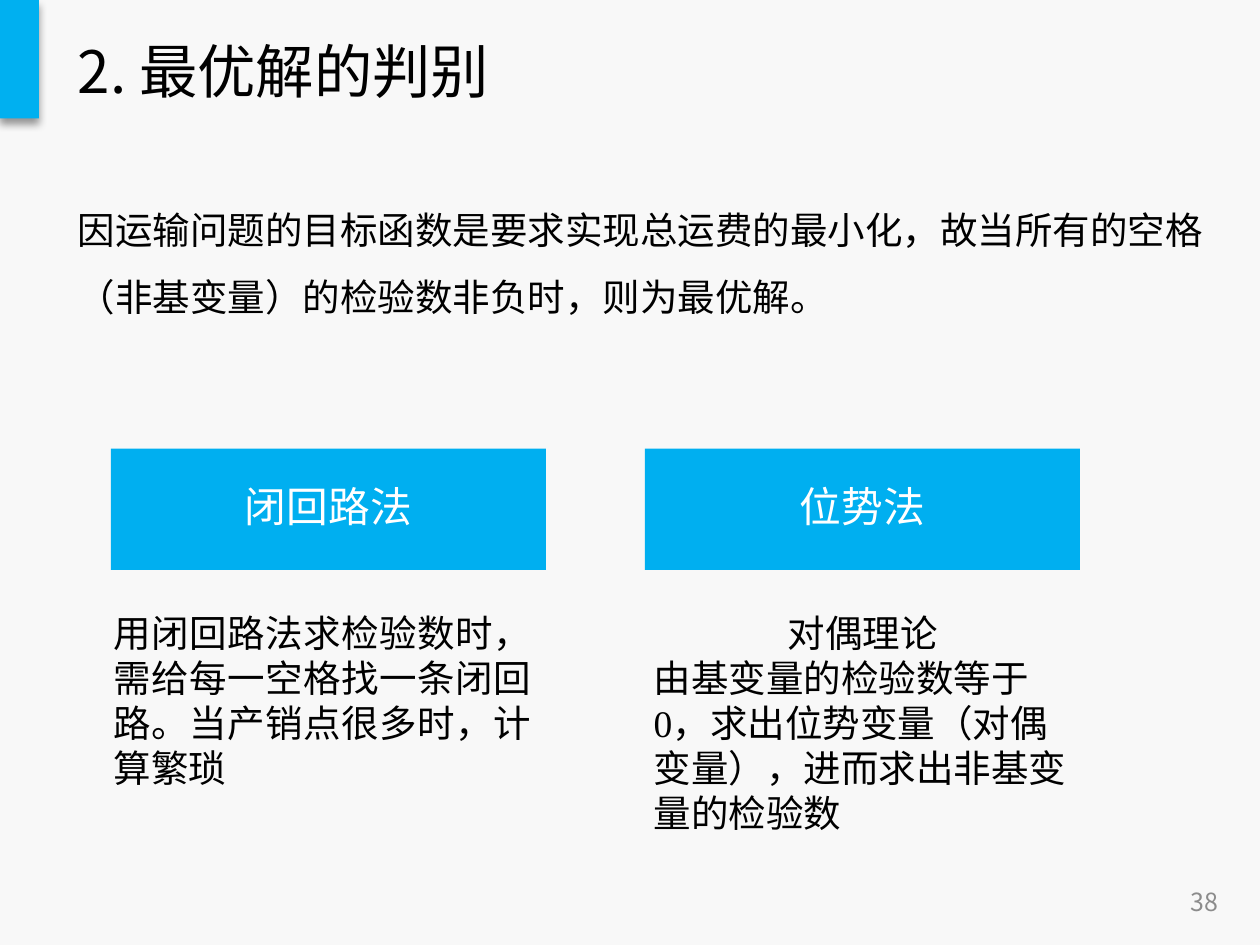
from lxml.etree import SubElement
from pptx import Presentation
from pptx.dml.color import RGBColor
from pptx.enum.shapes import MSO_SHAPE
from pptx.enum.text import MSO_ANCHOR, PP_ALIGN
from pptx.oxml import parse_xml
from pptx.oxml.ns import nsdecls, qn
from pptx.util import Inches, Pt

COLORS = {"background": "F8F8F8", "accent": "00B0F0", "method": "00AFF0",
          "text": "000000", "label": "FFFFFF", "number": "8C8C8C"}
SANS, SERIF = "Noto Sans CJK SC", "Times New Roman"
TITLE = "2. 最优解的判别"
STATEMENT = "因运输问题的目标函数是要求实现总运费的最小化，故当所有的空格（非基变量）的检验数非负时，则为最优解。"
PAGE_NUMBER = "38"
METHODS = [
    {"name": "闭回路法", "font": SANS, "left": 0.74, "note_left": 0.66, "note_height": 1.31,
     "notes": [("用闭回路法求检验数时，需给每一空格找一条闭回路。当产销点很多时，计算繁琐", PP_ALIGN.JUSTIFY)]},
    {"name": "位势法", "font": SERIF, "left": 4.3, "note_left": 4.26, "note_height": 1.62,
     "notes": [("对偶理论", PP_ALIGN.CENTER),
               ("由基变量的检验数等于0，求出位势变量（对偶变量），进而求出非基变量的检验数", PP_ALIGN.LEFT)]},
]
SHADOW = (f'<a:effectLst {nsdecls("a")}><a:outerShdw blurRad="{Pt(4)}" dist="{Pt(3)}" dir="5400000" '
          'rotWithShape="0"><a:srgbClr val="000000"><a:alpha val="40000"/></a:srgbClr>'
          '</a:outerShdw></a:effectLst>')


def color(name):
    return RGBColor.from_string(COLORS[name])


def write(frame, lines, size, color_name="text", font=SANS, anchor=MSO_ANCHOR.TOP, spacing=1.0):
    frame.word_wrap = True
    frame.vertical_anchor = anchor
    frame.text = "\n".join(text for text, alignment in lines)
    for paragraph, (text, alignment) in zip(frame.paragraphs, lines):
        paragraph.alignment = alignment
        paragraph.line_spacing = spacing
        for run in paragraph.runs:
            run.font.size = Pt(size)
            run.font.name = font
            run.font.color.rgb = color(color_name)
            SubElement(run.font._element, qn("a:ea")).set("typeface", SANS)


def add_text(slide, box, lines, size, **style):
    shape = slide.shapes.add_textbox(*map(Inches, box))
    write(shape.text_frame, lines, size, **style)


def add_block(slide, box, fill):
    shape = slide.shapes.add_shape(MSO_SHAPE.RECTANGLE, *map(Inches, box))
    shape.shadow.inherit = False
    shape.fill.solid()
    shape.fill.fore_color.rgb = color(fill)
    shape.line.fill.background()
    return shape


def add_method(slide, method):
    block = add_block(slide, (method["left"], 2.99, 2.9, 0.81), "method")
    frame = block.text_frame
    frame.margin_left = frame.margin_right = Inches(0.23)
    frame.margin_top = frame.margin_bottom = Inches(0.13)
    write(frame, [(method["name"], PP_ALIGN.CENTER)], 20, "label",
          anchor=MSO_ANCHOR.MIDDLE, spacing=0.9)
    add_text(slide, (method["note_left"], 4.02, 2.98, method["note_height"]),
             method["notes"], 18, font=method["font"])


def main():
    """Build the slide on judging the optimal solution."""
    presentation = Presentation()
    presentation.slide_width, presentation.slide_height = Inches(8.4), Inches(6.3)
    slide = presentation.slides.add_slide(presentation.slide_layouts[6])
    slide.background.fill.solid()
    slide.background.fill.fore_color.rgb = color("background")

    tab = add_block(slide, (0, 0, 0.26, 0.79), "accent")
    properties = tab._element.spPr
    properties.replace(properties.find(qn("a:effectLst")), parse_xml(SHADOW))

    add_text(slide, (0.42, 0.16, 7.56, 0.61), [(TITLE, PP_ALIGN.LEFT)], 28, anchor=MSO_ANCHOR.MIDDLE)
    add_text(slide, (0.42, 1.18, 7.72, 1.01), [(STATEMENT, PP_ALIGN.LEFT)], 18, spacing=1.5)
    for method in METHODS:
        add_method(slide, method)
    add_text(slide, (6.26, 5.84, 1.96, 0.34), [(PAGE_NUMBER, PP_ALIGN.RIGHT)], 12,
             color_name="number", anchor=MSO_ANCHOR.MIDDLE)
    presentation.save("out.pptx")


if __name__ == "__main__":
    main()
